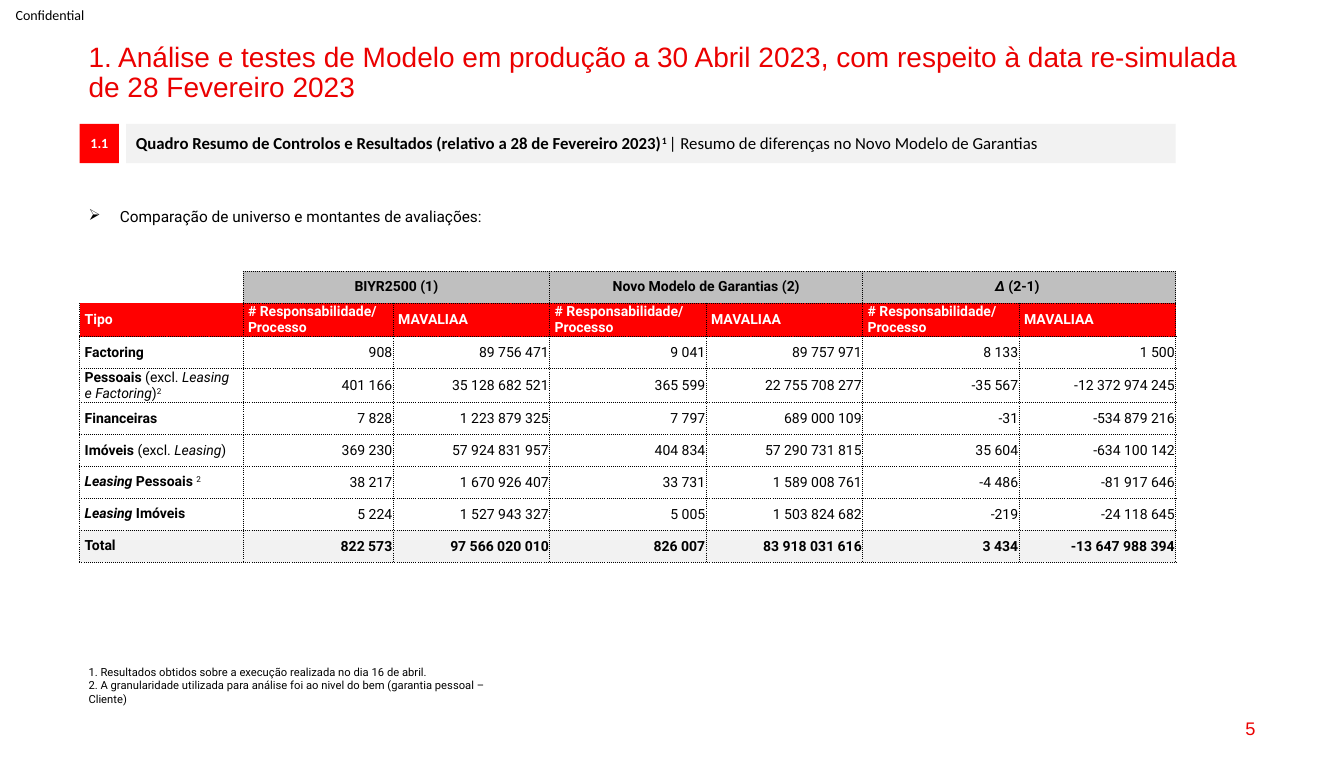
from lxml.etree import SubElement
from pptx import Presentation
from pptx.dml.color import RGBColor
from pptx.enum.shapes import MSO_SHAPE
from pptx.enum.text import MSO_ANCHOR, PP_ALIGN
from pptx.oxml import parse_xml
from pptx.oxml.ns import nsdecls, qn
from pptx.util import Emu, Inches, Pt

# Content: a run is (text, marks) with b = bold, i = italic, ^ = superscript
TITLE = ("1. Análise e testes de Modelo em produção a 30 Abril 2023, "
         "com respeito à data re-simulada de 28 Fevereiro 2023")
HEAD = [("Quadro Resumo de Controlos e Resultados (relativo a 28 de Fevereiro 2023)", "b"),
        ("1 ", "b^"), ("| Resumo de diferenças no Novo Modelo de Garantias", "")]
POINT = "Comparação de universo e montantes de avaliações:"
NOTES = ["1. Resultados obtidos sobre a execução realizada no dia 16 de abril.",
         "2. A granularidade utilizada para análise foi ao nivel do bem (garantia pessoal – Cliente)"]
GROUPS = [[("BIYR2500 (1)", "b")], [("Novo Modelo de Garantias (2)", "b")],
          [("∆ ", "bi"), ("(2-1) ", "b")]]
PAIR = [["# Responsabilidade/", "Processo"], ["MAVALIAA"]]
ROWS = [
    ([("Factoring", "b")],
     [908, 89756471, 9041, 89757971, 8133, 1500]),
    ([("Pessoais ", "b"), ("(excl. ", ""), ("Leasing e Factoring", "i"), (")", ""), ("2", "^")],
     [401166, 35128682521, 365599, 22755708277, -35567, -12372974245]),
    ([("Financeiras", "b")],
     [7828, 1223879325, 7797, 689000109, -31, -534879216]),
    ([("Imóveis ", "b"), ("(excl. ", ""), ("Leasing", "i"), (")", "")],
     [369230, 57924831957, 404834, 57290731815, 35604, -634100142]),
    ([("Leasing", "bi"), (" Pessoais ", "b"), ("2", "^")],
     [38217, 1670926407, 33731, 1589008761, -4486, -81917646]),
    ([("Leasing", "bi"), (" Imóveis", "b")],
     [5224, 1527943327, 5005, 1503824682, -219, -24118645]),
    ([("Total", "b")],
     [822573, 97566020010, 826007, 83918031616, 3434, -13647988394]),
]
COLORS = {"red": "FF0000", "title": "EB0000", "gray": "BFBFBF",
          "pale": "F2F2F2", "white": "FFFFFF", "black": "000000"}
PLAIN_STYLE = "{2D5ABB26-0587-4C30-8999-92F81FD0307C}"

# Grid, in inches
LEFT, RIGHT = 0.79, 11.66
TEXT_X = 0.78
BAR_Y, BAR_H, GAP = 1.23, 0.39, 0.07
TABLE_Y, ROW_H = 2.69, 0.317
COL_W = [1.62, 1.49] + [1.552] * 5

deck = Presentation()
deck.slide_width, deck.slide_height = Inches(13.33), Inches(7.76)
slide = deck.slides.add_slide(deck.slide_layouts[6])


def color(name):
    return RGBColor.from_string(COLORS[name])


def write(frame, paras, size, font, ink="black", align=PP_ALIGN.LEFT,
          anchor=MSO_ANCHOR.TOP, space=None):
    """Fill a frame; each paragraph is a list of (text, marks) runs."""
    frame.word_wrap = True
    frame.vertical_anchor = anchor
    for n, runs in enumerate(paras):
        para = frame.add_paragraph() if n else frame.paragraphs[0]
        para.alignment = align
        if space:
            para.line_spacing = space
        para.font.size, para.font.name = Pt(size), font
        para.font.color.rgb = color(ink)
        for text, marks in runs:
            run = para.add_run()
            run.text = text
            run.font.bold, run.font.italic = "b" in marks, "i" in marks
            if "^" in marks:
                run.font._element.set("baseline", "30000")


def add_text(box, paras, size, font, **look):
    frame = slide.shapes.add_textbox(*map(Inches, box)).text_frame
    write(frame, paras, size, font, **look)
    return frame


def add_bar(x, width, fill, runs, size, **look):
    bar = slide.shapes.add_shape(MSO_SHAPE.RECTANGLE,
                                 *map(Inches, (x, BAR_Y, width, BAR_H)))
    bar.shadow.inherit = False
    bar.fill.solid()
    bar.fill.fore_color.rgb = color(fill)
    bar.line.fill.background()
    write(bar.text_frame, [runs], size, "Calibri",
          anchor=MSO_ANCHOR.MIDDLE, space=0.9, **look)


def add_edges(cell, sides):
    props = cell._tc.get_or_add_tcPr()
    for n, side in enumerate(sides):
        props.insert(n, parse_xml(
            f'<a:ln{side} {nsdecls("a")} w="6350"><a:solidFill>'
            f'<a:srgbClr val="{COLORS["black"]}"/></a:solidFill>'
            f'<a:prstDash val="sysDot"/></a:ln{side}>'))


def set_cell(row, col, paras, fill=None, sides="LRTB", number=False, **look):
    cell = table.cell(row, col)
    side = 0.01 if number else 0.05
    cell.margin_left = cell.margin_right = Inches(side)
    cell.margin_top = Inches(0.01 if number else 0)
    cell.margin_bottom = Emu(0)
    if fill:
        cell.fill.solid()
        cell.fill.fore_color.rgb = color(fill)
    else:
        cell.fill.background()
    write(cell.text_frame, paras, 10, "Roboto", **look)
    cell.vertical_anchor = MSO_ANCHOR.MIDDLE
    add_edges(cell, sides)


# Confidentiality mark, title and page number
mark = add_text((0, 0, 0.99, 0.29), [[("Confidential", "")]], 10, "Calibri",
                align=PP_ALIGN.CENTER, anchor=MSO_ANCHOR.MIDDLE)
mark.margin_left = mark.margin_right = mark.margin_top = mark.margin_bottom = 0
add_text((TEXT_X, 0.38, 11.77, 0.34), [[(TITLE, "")]], 20, "Arial",
         ink="title", space=0.9)
add_text((9.55, 7.02, 3, 0.41), [[("5", "")]], 13, "Arial", ink="title",
         align=PP_ALIGN.RIGHT, anchor=MSO_ANCHOR.MIDDLE)

# Section bar
add_bar(LEFT, BAR_H, "red", [("1.1", "b")], 10, ink="white", align=PP_ALIGN.CENTER)
bar_x = LEFT + BAR_H + GAP
add_bar(bar_x, RIGHT - bar_x, "pale", HEAD, 12)

# Bullet point
point = add_text((TEXT_X, 2.01, 9.31, 0.29), [[]], 11, "Roboto")
props = point.paragraphs[0]._p.get_or_add_pPr()
props.set("marL", str(Inches(0.31)))
props.set("indent", str(-Inches(0.31)))
bullet = SubElement(props, qn("a:buChar"))
bullet.set("char", "➢")
props.insert(0, bullet)
write(point, [[(POINT, "")]], 11, "Roboto")

# Table frame
count = len(ROWS) + 2
frame = slide.shapes.add_table(count, len(COL_W), Inches(LEFT), Inches(TABLE_Y),
                               Inches(RIGHT - LEFT), Inches(ROW_H * count))
table = frame.table
table.first_row = table.horz_banding = False
table._tbl.tblPr.find(qn("a:tableStyleId")).text = PLAIN_STYLE
for column, width in zip(table.columns, COL_W):
    column.width = Inches(width)
for line in table.rows:
    line.height = Inches(ROW_H)

# Table headings
set_cell(0, 0, [[]], sides="R")
set_cell(1, 0, [[("Tipo", "b")]], "red", sides="LRB", ink="white")
for g, group in enumerate(GROUPS):
    first = 1 + 2 * g
    set_cell(0, first, [group], "gray", align=PP_ALIGN.CENTER)
    set_cell(0, first + 1, [[]], "gray")
    table.cell(0, first).merge(table.cell(0, first + 1))
    for c, lines in enumerate(PAIR, first):
        set_cell(1, c, [[(text, "b")] for text in lines], "red", ink="white")

# Table body
for r, (label, values) in enumerate(ROWS, 2):
    last = r == count - 1
    fill = "pale" if last else None
    set_cell(r, 0, [label], fill)
    for c, value in enumerate(values, 1):
        text = f"{value:,}".replace(",", " ")
        set_cell(r, c, [[(text, "b" if last else "")]], fill,
                 number=True, align=PP_ALIGN.RIGHT)

# Footnotes
add_text((TEXT_X, 6.55, 4.33, 0.5), [[(note, "")] for note in NOTES], 8, "Roboto")

deck.save("out.pptx")
